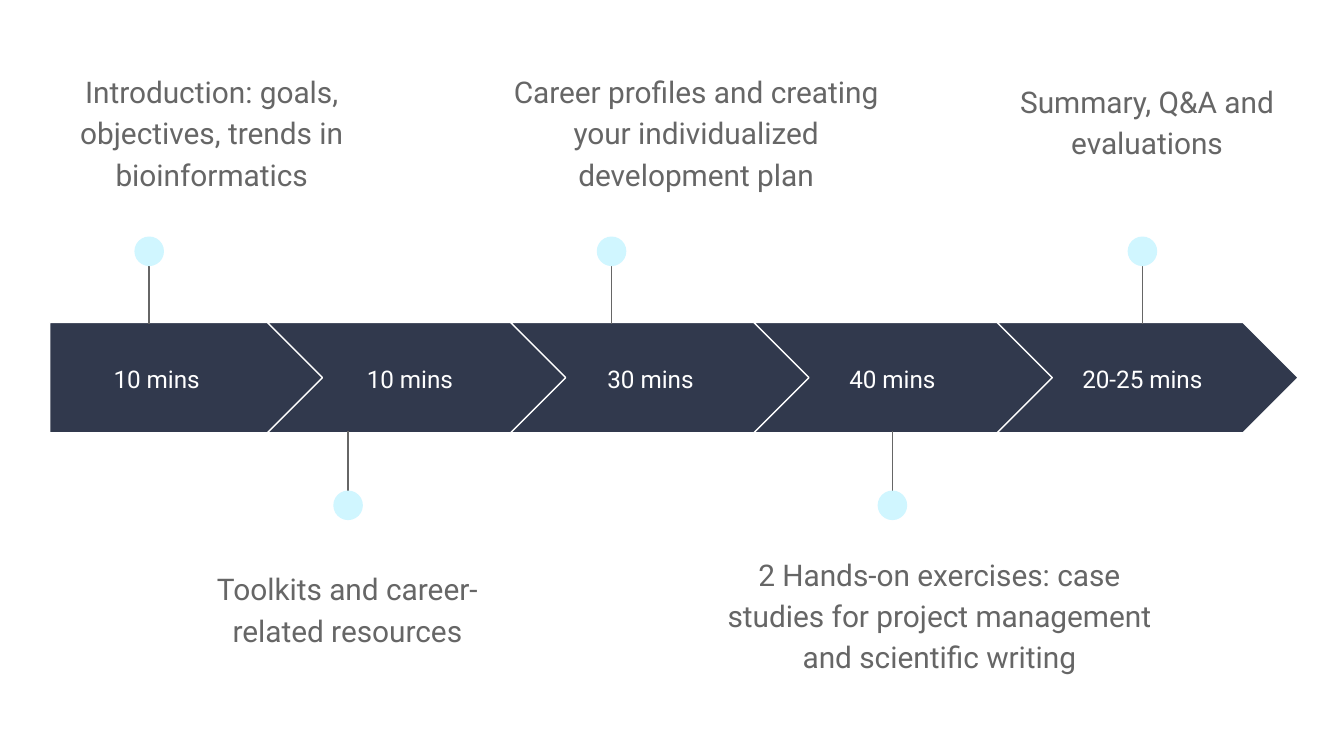
from pptx import Presentation
from pptx.dml.color import RGBColor
from pptx.enum.shapes import MSO_CONNECTOR, MSO_SHAPE
from pptx.enum.text import MSO_ANCHOR, PP_ALIGN
from pptx.oxml.ns import qn
from pptx.util import Inches, Pt
from lxml import etree

PENTAGON = MSO_SHAPE.PENTAGON
CHEVRON = MSO_SHAPE.CHEVRON
OVAL = MSO_SHAPE.OVAL
STRAIGHT = MSO_CONNECTOR.STRAIGHT
CENTER = PP_ALIGN.CENTER
TOP = MSO_ANCHOR.TOP
MIDDLE = MSO_ANCHOR.MIDDLE

FONT = "Roboto"
NAVY = "31394D"
WHITE = "FFFFFF"
GRAY = "666666"
AQUA = "D0F6FF"

BAND_TOP = 2.4
BAND_HEIGHT = 0.82
FIRST_CHEVRON = 1.99
CHEVRON_STEP = 1.81
DOT_SIZE = 0.22

STEPS = [
    ("10 mins", 0.37, 1.59, 1.11, True, 0.35, 0.41, 2.45,
     "Introduction: goals, objectives, trends in bioinformatics"),
    ("10 mins", 2.33, 1.44, 2.59, False, 1.36, 4.11, 2.45,
     "Toolkits and career-related resources"),
    ("30 mins", 4.12, 1.44, 4.55, True, 3.61, 0.41, 3.14,
     "Career profiles and creating your individualized development plan"),
    ("40 mins", 5.92, 1.44, 6.64, False, 5.29, 4.0, 3.4,
     "2 Hands-on exercises: case studies for project management and scientific writing"),
    ("20-25 mins", 7.78, 1.44, 8.5, True, 7.31, 0.48, 2.45,
     "Summary, Q&A and evaluations"),
]


def color(value):
    return RGBColor.from_string(value)


def add_filled_shape(page, kind, left, top, width, height, fill, outline=None):
    shape = page.shapes.add_shape(
        kind, Inches(left), Inches(top), Inches(width), Inches(height))
    shape.shadow.inherit = False
    shape.fill.solid()
    shape.fill.fore_color.rgb = color(fill)
    if outline:
        shape.line.color.rgb = color(outline)
        shape.line.width = Pt(0.75)
    else:
        shape.line.fill.background()
    return shape


def add_arrow(page, index):
    if index == 0:
        kind, left, width = PENTAGON, 0.37, 2.05
    else:
        kind, width = CHEVRON, 2.24
        left = FIRST_CHEVRON + (index - 1) * CHEVRON_STEP
    arrow = add_filled_shape(
        page, kind, left, BAND_TOP, width, BAND_HEIGHT, NAVY, WHITE)
    arrow.adjustments[0] = 0.5


def add_text(page, text, left, top, width, height, size, ink, anchor):
    box = page.shapes.add_textbox(
        Inches(left), Inches(top), Inches(width), Inches(height))
    frame = box.text_frame
    frame.word_wrap = True
    frame.vertical_anchor = anchor
    frame.margin_left = frame.margin_right = Inches(0.1)
    frame.margin_top = frame.margin_bottom = Inches(0.1)
    frame.text = text
    para = frame.paragraphs[0]
    para.alignment = CENTER
    span = para.runs[0]
    span.font.name = FONT
    span.font.size = Pt(size)
    span.font.color.rgb = color(ink)
    return para


def add_pin(page, x, above):
    start, end, dot_top = (1.8, 2.41, 1.76) if above else (3.82, 3.21, 3.65)
    stem = page.shapes.add_connector(
        STRAIGHT, Inches(x), Inches(start), Inches(x), Inches(end))
    stem.line.color.rgb = color(GRAY)
    stem.line.width = Pt(0.75)
    etree.SubElement(stem._element.spPr, qn("a:effectLst"))
    add_filled_shape(
        page, OVAL, x - DOT_SIZE / 2, dot_top, DOT_SIZE, DOT_SIZE, AQUA)


def add_note(page, text, left, top, width):
    para = add_text(page, text, left, top, width, 0.99, 16, GRAY, TOP)
    para.line_spacing = 1.15
    para.space_after = Pt(16)


def main():
    deck = Presentation()
    deck.slide_width = Inches(10)
    deck.slide_height = Inches(10 * 9 / 16)
    page = deck.slides.add_slide(deck.slide_layouts[6])
    for index, step in enumerate(STEPS):
        (duration, label_left, label_width, pin_x, above,
         note_left, note_top, note_width, note) = step
        add_arrow(page, index)
        add_text(page, duration, label_left, 2.56, label_width, 0.51,
                 13, WHITE, MIDDLE)
        add_pin(page, pin_x, above)
        add_note(page, note, note_left, note_top, note_width)
    deck.save("out.pptx")


if __name__ == "__main__":
    main()
